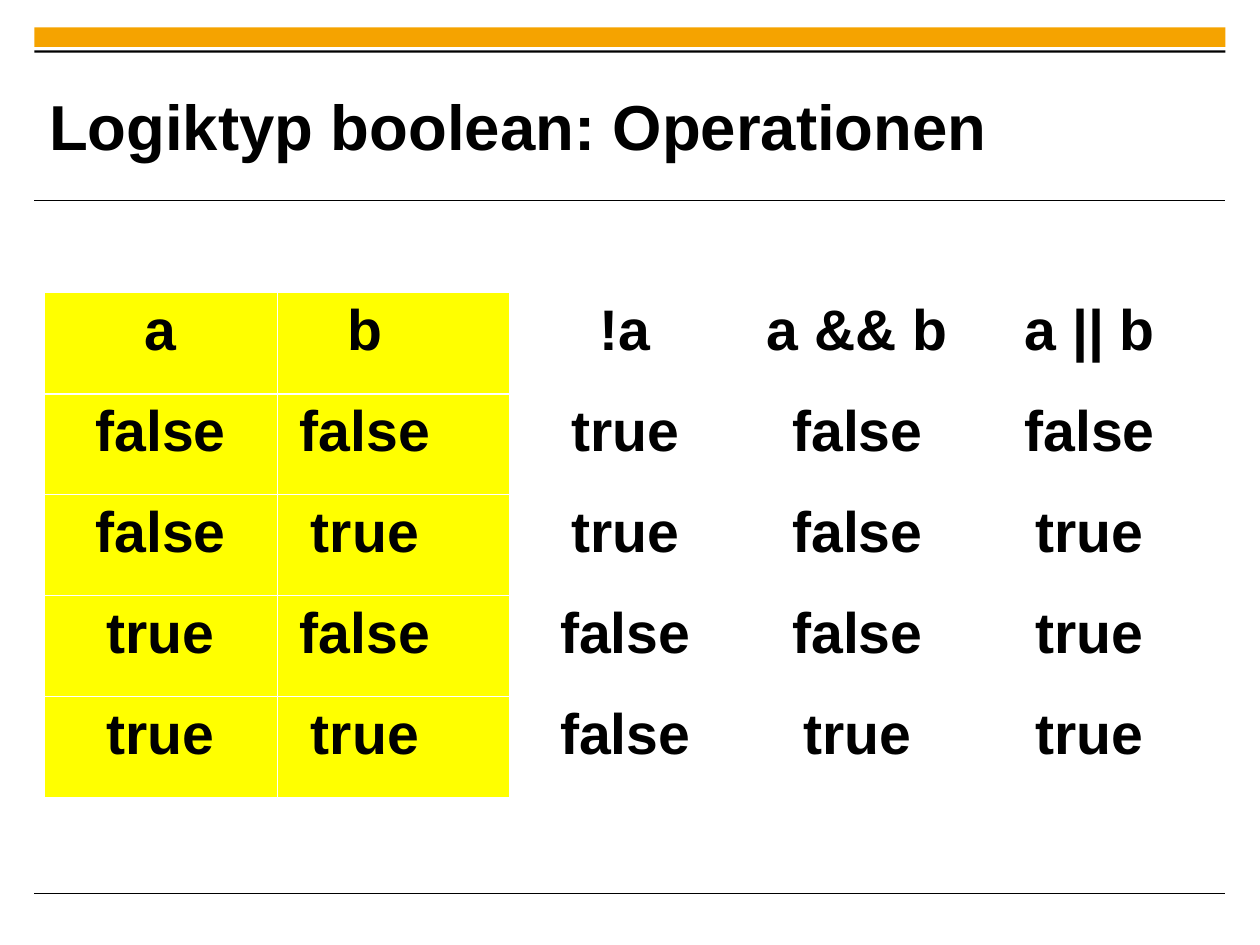
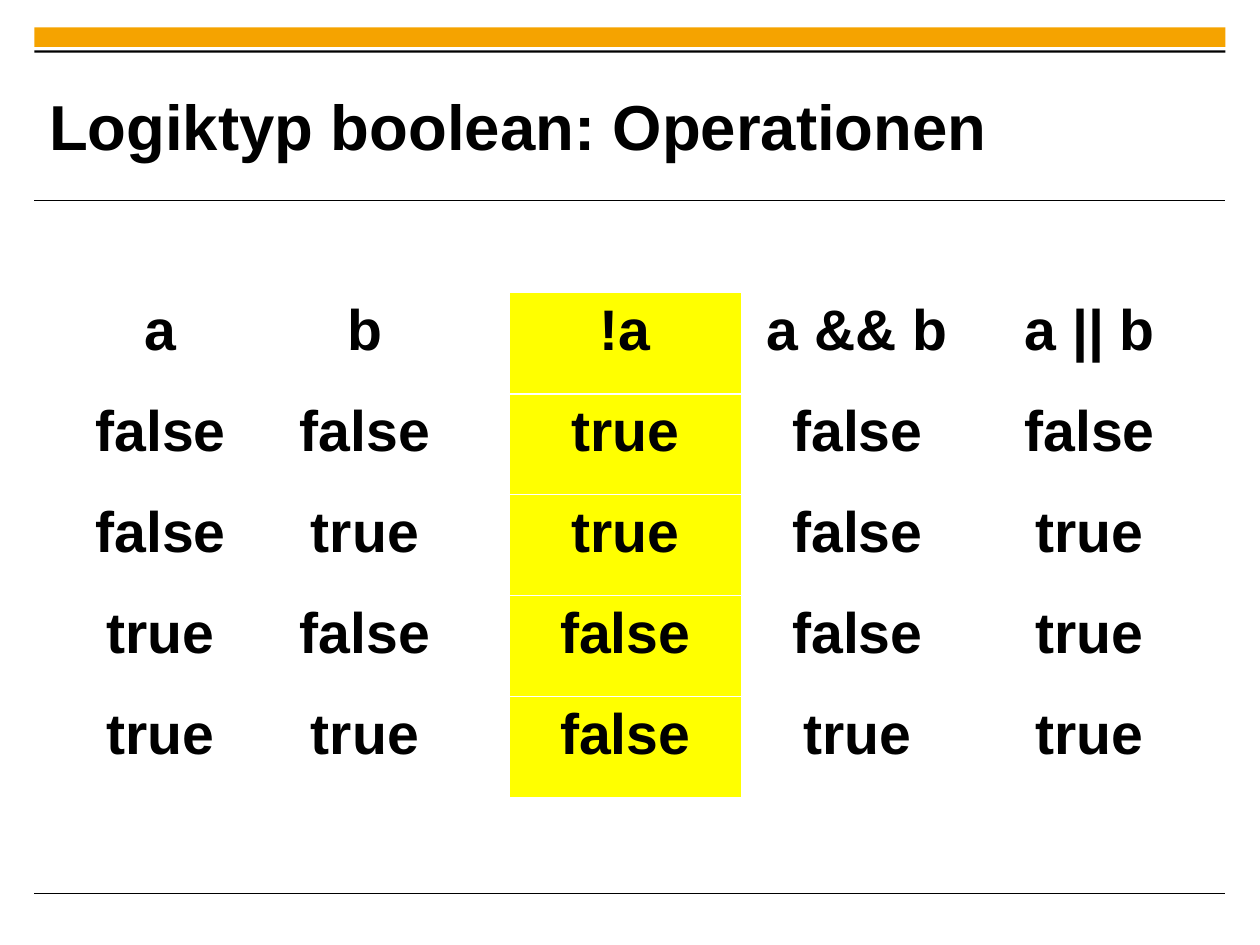
import itertools

import pptx
import pptx.dml.color
import pptx.enum.shapes
import pptx.enum.text
import pptx.oxml
import pptx.oxml.ns
import pptx.util

Inches = pptx.util.Inches
Pt = pptx.util.Pt
ALIGN = pptx.enum.text.PP_ALIGN
ANCHOR = pptx.enum.text.MSO_ANCHOR

FONT = "Arial"
BLACK, WHITE, ORANGE, YELLOW = "000000", "FFFFFF", "F5A300", "FFFF00"
CM_PER_INCH = 2.54
SLIDE_WIDTH, SLIDE_HEIGHT = 28 / CM_PER_INCH, 21 / CM_PER_INCH
FRAME_BOX = (0.3, 0.24, 10.42, 7.58)
TITLE_BOX = (0.43, 0.59, 8.29, 1.01)
TABLE_BOX = (0.39, 2.56, 10.16, 4.42)
TITLE = "Logiktyp boolean: Operationen"
HEADINGS = ["a", "b", "!a", "a && b", "a || b"]
THIN, THICK = 0.45, 1.47
B_COLUMN_INSET = 0.59


def color(hex_string):
    return pptx.dml.color.RGBColor.from_string(hex_string)


def write(frame, text, size=36, ink=BLACK, bold=True, align=ALIGN.CENTER):
    paragraph = frame.paragraphs[0]
    paragraph.alignment = align
    run = paragraph.add_run()
    run.text = text
    run.font.name = FONT
    run.font.size = Pt(size)
    run.font.bold = bold
    run.font.color.rgb = color(ink)


def add_bar(slide, left, top, width, height, fill):
    bar = slide.shapes.add_shape(
        pptx.enum.shapes.MSO_SHAPE.RECTANGLE,
        Inches(left), Inches(top), Inches(width), Inches(height))
    bar.shadow.inherit = False
    bar.fill.solid()
    bar.fill.fore_color.rgb = color(fill)
    bar.line.fill.background()


def add_rule(slide, left, top, width):
    rule = slide.shapes.add_connector(
        pptx.enum.shapes.MSO_CONNECTOR.STRAIGHT,
        Inches(left), Inches(top), Inches(left + width), Inches(top))
    rule.line.color.rgb = color(BLACK)
    rule.line.width = Pt(0.6)
    rule._element.spPr.append(pptx.oxml.parse_xml(
        f"<a:effectLst {pptx.oxml.ns.nsdecls('a')}/>"))


def add_frame(slide, box):
    """Draw the top band and the rules under the title and above the footer."""
    left, top, width, height = box
    add_bar(slide, left, top, width, 0.17, ORANGE)
    add_rule(slide, left, top + 1.51, width)
    add_rule(slide, left, top + height, width)
    add_bar(slide, left, top + 0.2, width, 0.02, BLACK)


def place_title(slide, box, text):
    title = slide.shapes.title
    title.left, title.top, title.width, title.height = map(Inches, box)
    frame = title.text_frame
    frame.margin_left = frame.margin_right = 0
    frame.margin_top = frame.margin_bottom = 0
    frame.word_wrap = True
    frame.auto_size = pptx.enum.text.MSO_AUTO_SIZE.NONE
    frame.vertical_anchor = ANCHOR.MIDDLE
    write(frame, text, size=40, align=ALIGN.LEFT)


def set_borders(cell, top, bottom):
    properties = cell._tc.get_or_add_tcPr()
    widths = {"lnL": THIN, "lnR": THIN, "lnT": top, "lnB": bottom}
    for side, width in widths.items():
        properties.append(pptx.oxml.parse_xml(
            f"<a:{side} {pptx.oxml.ns.nsdecls('a')} w=\"{Pt(width)}\">"
            f"<a:solidFill><a:srgbClr val=\"{WHITE}\"/></a:solidFill>"
            f"</a:{side}>"))


def truth_rows():
    for a, b in itertools.product([False, True], repeat=2):
        yield [str(value).lower() for value in (a, b, not a, a and b, a or b)]


def add_truth_table(slide, box, highlighted):
    """Tabulate the operations, with the highlighted columns in yellow."""
    rows = [HEADINGS, *truth_rows()]
    table = slide.shapes.add_table(
        len(rows), len(HEADINGS), *map(Inches, box)).table
    table.first_row = table.horz_banding = False
    for r, row in enumerate(rows):
        for c, text in enumerate(row):
            cell = table.cell(r, c)
            set_borders(cell, top=THICK if r == 1 else THIN,
                        bottom=THICK if r == 0 else THIN)
            cell.fill.solid()
            cell.fill.fore_color.rgb = color(
                YELLOW if HEADINGS[c] in highlighted else WHITE)
            cell.vertical_anchor = ANCHOR.TOP
            if HEADINGS[c] == "b":
                cell.margin_right = Inches(B_COLUMN_INSET)
            write(cell.text_frame, text)


def add_operations_slide(presentation, highlighted):
    slide = presentation.slides.add_slide(presentation.slide_layouts[5])
    add_frame(slide, FRAME_BOX)
    place_title(slide, TITLE_BOX, TITLE)
    add_truth_table(slide, TABLE_BOX, highlighted)


def main():
    presentation = pptx.Presentation()
    presentation.slide_width = Inches(SLIDE_WIDTH)
    presentation.slide_height = Inches(SLIDE_HEIGHT)
    for highlighted in (["a", "b"], ["!a"]):
        add_operations_slide(presentation, highlighted)
    presentation.save("out.pptx")


if __name__ == "__main__":
    main()
